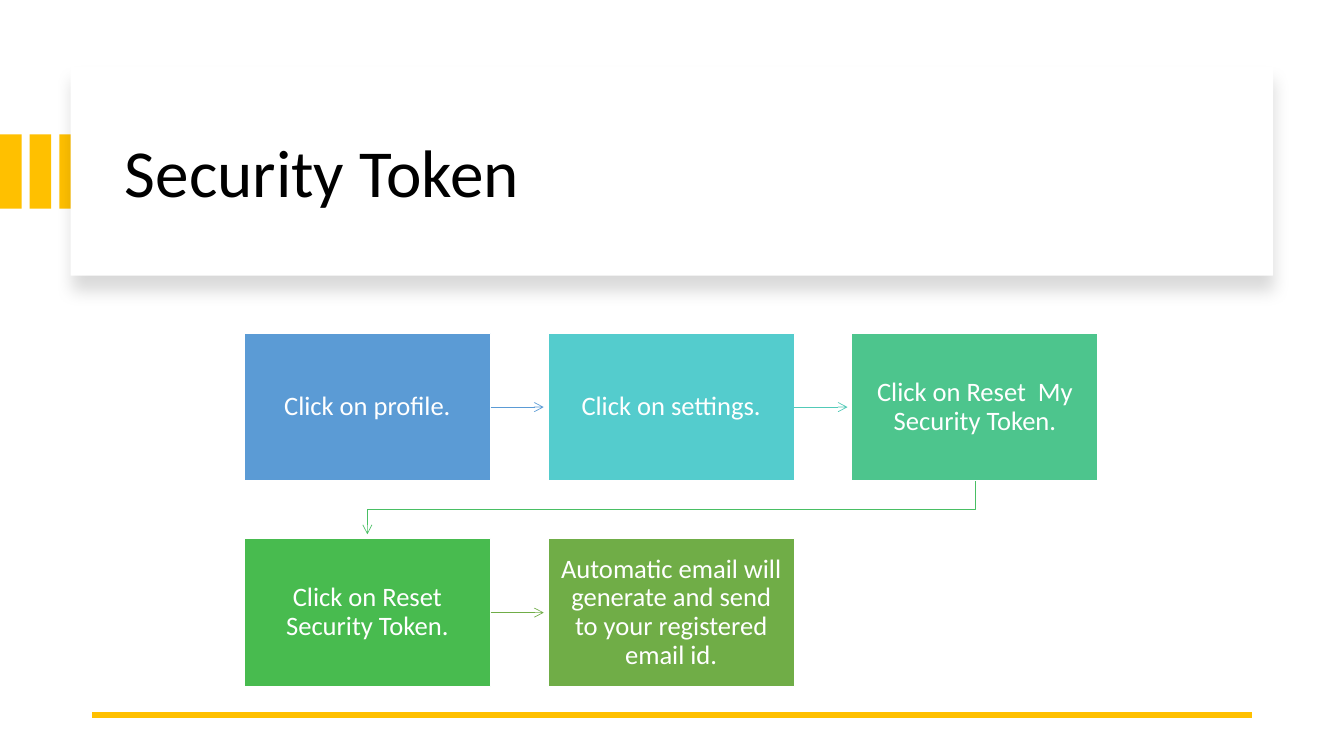
"""Build the Security Token slide: a title card above a five-step flow."""
from lxml.etree import SubElement
from pptx import Presentation
from pptx.dml.color import RGBColor
from pptx.enum.shapes import MSO_CONNECTOR, MSO_SHAPE
from pptx.enum.text import MSO_ANCHOR, MSO_AUTO_SIZE, PP_ALIGN
from pptx.oxml.ns import qn
from pptx.util import Pt

GOLD = RGBColor(0xFF, 0xC0, 0x00)
WHITE = RGBColor(0xFF, 0xFF, 0xFF)
BLACK = RGBColor(0x00, 0x00, 0x00)
BLUE = RGBColor(0x5B, 0x9B, 0xD5)
TURQUOISE = RGBColor(0x54, 0xCC, 0xCD)
TEAL = RGBColor(0x52, 0xCA, 0xB8)
MINT = RGBColor(0x4D, 0xC5, 0x8D)
SEA_GREEN = RGBColor(0x49, 0xBF, 0x64)
GREEN = RGBColor(0x48, 0xBB, 0x4F)
OLIVE = RGBColor(0x70, 0xAD, 0x47)

STEP_LEFT, STEP_TOP, STEP_WIDTH, STEP_HEIGHT = 174.4, 238, 176, 105.6
COLUMN_PITCH, ROW_PITCH, COLUMNS = 217, 146.8, 3
ARROW_LENGTH, ARROW_DROP = 38, 38
STEPS = [
    ("Click on profile.", BLUE, BLUE),
    ("Click on settings.", TURQUOISE, TEAL),
    ("Click on Reset  My Security Token.", MINT, SEA_GREEN),
    ("Click on Reset Security Token.", GREEN, OLIVE),
    ("Automatic email will generate and send to your registered email id.", OLIVE, None),
]

presentation = Presentation()
presentation.slide_width, presentation.slide_height = Pt(960), Pt(540)
slide = presentation.slides.add_slide(presentation.slide_layouts[5])
shapes = slide.shapes


def add_box(left, top, width, height, color):
    box = shapes.add_shape(MSO_SHAPE.RECTANGLE, Pt(left), Pt(top), Pt(width), Pt(height))
    box.shadow.inherit = False
    box.fill.solid()
    box.fill.fore_color.rgb = color
    box.line.fill.background()
    return box


def write_text(shape, text, size, color, alignment, frame_format):
    frame = shape.text_frame
    frame.text = text
    for name, value in frame_format.items():
        setattr(frame, name, value)
    paragraph = frame.paragraphs[0]
    paragraph.alignment = alignment
    paragraph.line_spacing = 0.9
    font_format = {"name": "Calibri", "size": Pt(size)}
    for name, value in font_format.items():
        setattr(paragraph.font, name, value)
    paragraph.font.color.rgb = color


for bar in range(3):
    add_box(bar * 21.2, 96, 15.4, 53, GOLD)

card = add_box(50.5, 48, 859, 149, WHITE)
effects = card._element.spPr.find(qn("a:effectLst"))
shadow = SubElement(effects, qn("a:outerShdw"), blurRad=str(Pt(11)), dist=str(Pt(10)),
                    dir="5400000", algn="t", rotWithShape="0")
shadow_color = SubElement(shadow, qn("a:srgbClr"), val=str(BLACK))
SubElement(shadow_color, qn("a:alpha"), val="15000")

title = shapes.title
shapes._spTree.append(title._element)
title_place = {"left": Pt(82), "top": Pt(64), "width": Pt(801), "height": Pt(122.4)}
for name, value in title_place.items():
    setattr(title, name, value)
write_text(title, "Security Token", 48, BLACK, PP_ALIGN.LEFT,
           {"vertical_anchor": MSO_ANCHOR.MIDDLE, "auto_size": MSO_AUTO_SIZE.NONE,
            "word_wrap": True})

base_line = shapes.add_connector(MSO_CONNECTOR.STRAIGHT, Pt(894), Pt(510.6), Pt(66), Pt(510.6))
base_line.line.color.rgb = GOLD
base_line.line.width = Pt(4.5)
SubElement(base_line._element.spPr, qn("a:effectLst"))

step_format = {
    "vertical_anchor": MSO_ANCHOR.MIDDLE, "word_wrap": True,
    "margin_left": Pt(8.7), "margin_right": Pt(8.7),
    "margin_top": Pt(9), "margin_bottom": Pt(9),
}
for index, (text, fill_color, arrow_color) in enumerate(STEPS):
    row, column = divmod(index, COLUMNS)
    left = STEP_LEFT + column * COLUMN_PITCH
    top = STEP_TOP + row * ROW_PITCH
    right, bottom = left + STEP_WIDTH, top + STEP_HEIGHT
    step = add_box(left, top, STEP_WIDTH, STEP_HEIGHT, fill_color)
    step.line.color.rgb = WHITE
    step.line.width = Pt(1)
    write_text(step, text, 19, WHITE, PP_ALIGN.CENTER, step_format)

    if arrow_color is None:
        continue
    if column < COLUMNS - 1:
        middle = Pt(top + STEP_HEIGHT / 2)
        arrow = shapes.add_connector(MSO_CONNECTOR.STRAIGHT, Pt(right), middle,
                                     Pt(right + ARROW_LENGTH), middle)
    else:
        start, end = left + STEP_WIDTH / 2, STEP_LEFT + STEP_WIDTH / 2
        turn = (bottom + top + ROW_PITCH) / 2
        builder = shapes.build_freeform(Pt(start), Pt(bottom))
        builder.add_line_segments(
            [(Pt(start), Pt(turn)), (Pt(end), Pt(turn)), (Pt(end), Pt(bottom + ARROW_DROP))],
            close=False)
        arrow = builder.convert_to_shape()
        arrow.fill.background()
    arrow.line.color.rgb = arrow_color
    arrow.line.width = Pt(0.5)
    SubElement(arrow.line._get_or_add_ln(), qn("a:tailEnd"), type="arrow")
    SubElement(arrow._element.spPr, qn("a:effectLst"))

presentation.save("out.pptx")
